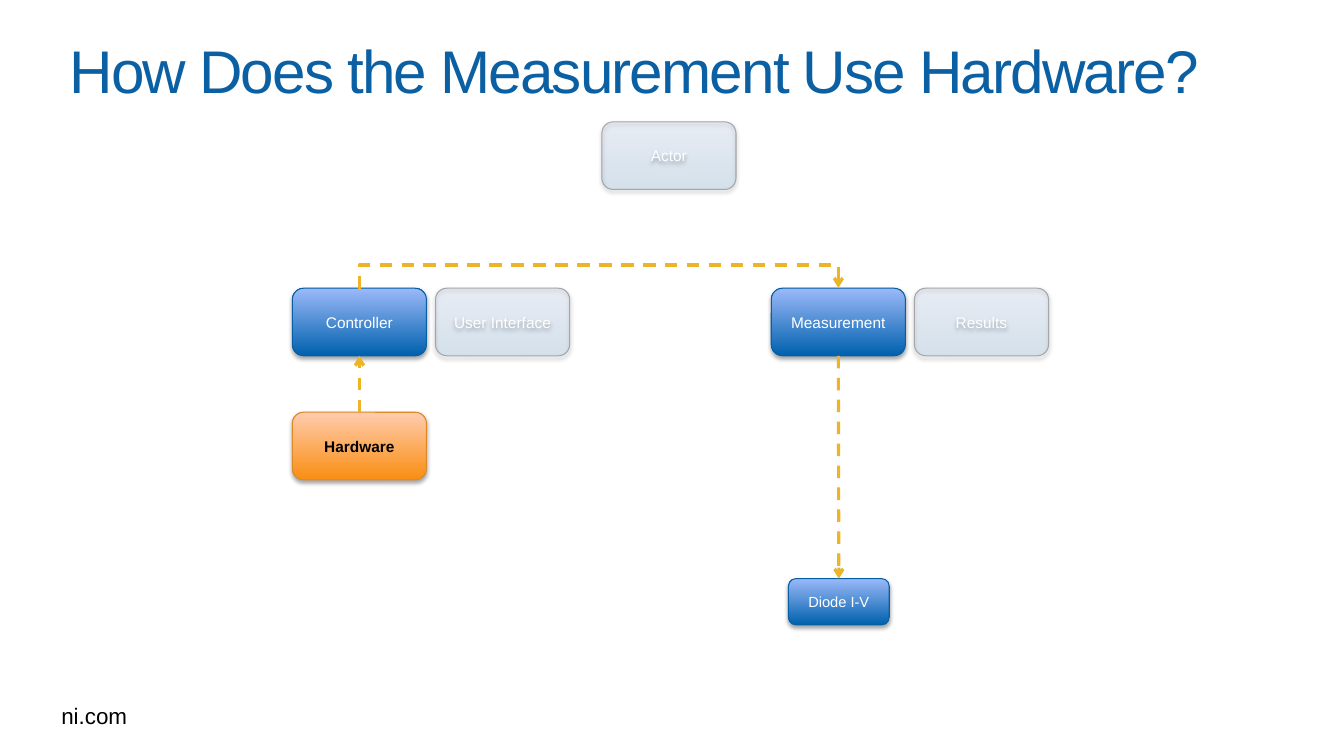
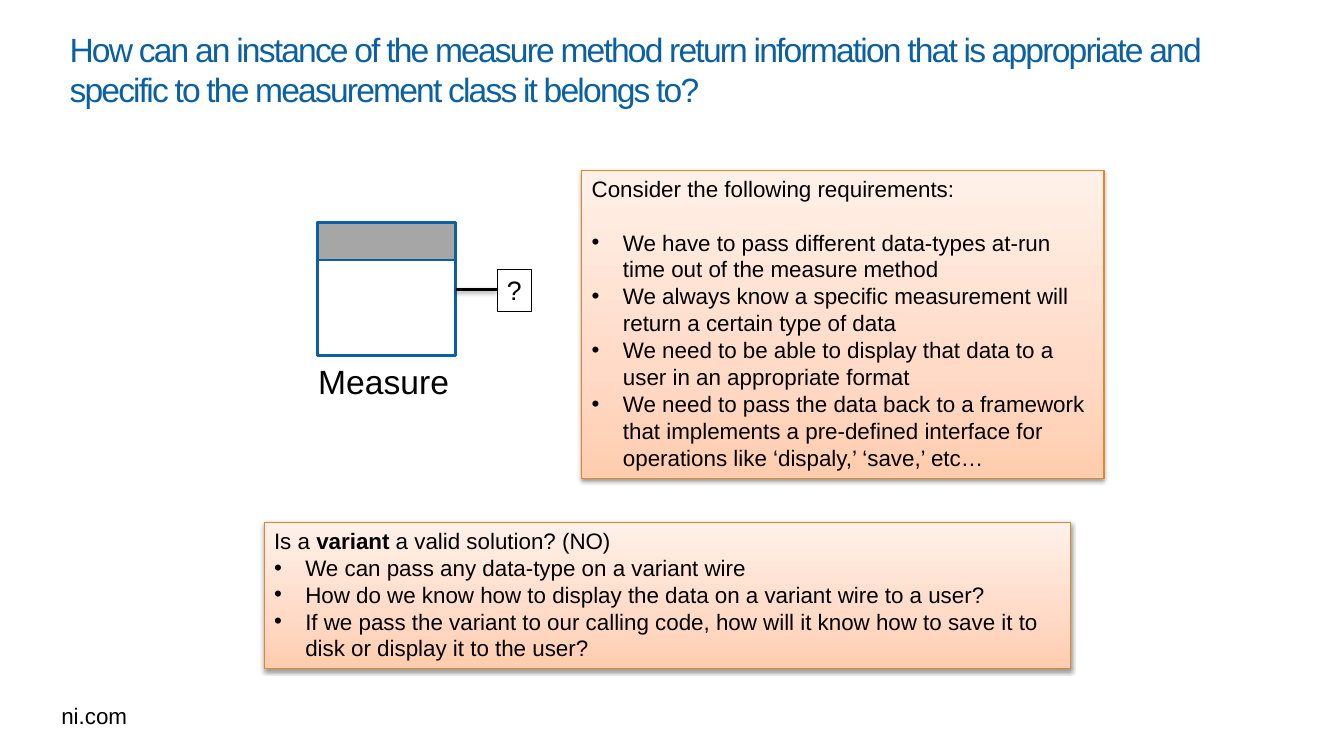
from lxml import etree
from pptx import Presentation
from pptx.dml.color import RGBColor
from pptx.enum.dml import MSO_LINE
from pptx.enum.shapes import MSO_CONNECTOR, MSO_SHAPE
from pptx.enum.text import MSO_ANCHOR, MSO_AUTO_SIZE, PP_ALIGN
from pptx.oxml.ns import qn
from pptx.util import Emu, Inches, Pt

DASH = MSO_LINE.DASH
STRAIGHT, ELBOW = MSO_CONNECTOR.STRAIGHT, MSO_CONNECTOR.ELBOW
RECTANGLE, ROUNDED = MSO_SHAPE.RECTANGLE, MSO_SHAPE.ROUNDED_RECTANGLE
TOP, MIDDLE = MSO_ANCHOR.TOP, MSO_ANCHOR.MIDDLE
GROW = MSO_AUTO_SIZE.SHAPE_TO_FIT_TEXT
LEFT, CENTER = PP_ALIGN.LEFT, PP_ALIGN.CENTER

THEME = {
    "font": "Arial",
    "title": "0A60A3", "black": "000000", "white": "FFFFFF", "grey": "A6A6A6",
    "arrow": "ECB528",
    "title_sizes": (43, 24), "body": 16, "label": 11, "small_label": 10.5,
    "caption": 24, "question": 19,
    "title_spacing": -130,
    # Shadows: opacity %, blur pt, distance pt
    "box_shadow": (35, 3.1, 1.8), "panel_shadow": (38, 3.1, 1.6),
}
# Gradients: position %, colour, opacity %, from bottom to top
BOX_STYLES = {
    "active": {"fill": [(0, "0061AD", 100), (100, "9BB9F9", 100)], "line": "065EA3"},
    "faded": {"fill": [(0, "0061AD", 13), (100, "9BB9F9", 13)], "line": "A6A6A6"},
    "accent": {"fill": [(0, "F98E12", 100), (100, "FFCCAE", 100)], "line": "DD8928"},
}
PANEL_STYLE = {
    "fill": [(0, "FFCCAE", 100), (35, "FFDAC6", 100), (100, "FFF1E9", 100)],
    "line": "DD8928", "shadow": THEME["panel_shadow"],
}


def style_shape(shape, line, width=0.75, fill=None, shadow=None):
    """Set outline, fill (colour or gradient stops) and shadow of a shape or connector."""
    properties = shape._element.spPr
    shape.line.color.rgb = RGBColor.from_string(line)
    shape.line.width = Pt(width)
    if isinstance(fill, str):
        shape.fill.solid()
        shape.fill.fore_color.rgb = RGBColor.from_string(fill)
    elif fill:
        shape.fill.gradient()
        shape.fill.gradient_angle = 90
        stops = properties.find(".//" + qn("a:gsLst"))
        for stop in list(stops):
            stops.remove(stop)
        for position, color, opacity in fill:
            stop = etree.SubElement(stops, qn("a:gs"), pos=str(position * 1000))
            color_element = etree.SubElement(stop, qn("a:srgbClr"), val=color)
            if opacity < 100:
                etree.SubElement(color_element, qn("a:alpha"), val=str(opacity * 1000))
    elif hasattr(shape, "fill"):
        shape.fill.background()
    effects = etree.SubElement(properties, qn("a:effectLst"))
    if shadow:
        opacity, blur, distance = shadow
        outer = etree.SubElement(effects, qn("a:outerShdw"), blurRad=str(Pt(blur)),
                                 dist=str(Pt(distance)), dir="5400000", rotWithShape="0")
        color_element = etree.SubElement(outer, qn("a:srgbClr"), val=THEME["black"])
        etree.SubElement(color_element, qn("a:alpha"), val=str(opacity * 1000))


def write_text(shape, paragraphs, size, color=THEME["black"], bold=False, align=LEFT,
               spacing=None, bullets=False, **frame_format):
    """Write paragraphs, each a list of (text, bold) runs or a plain string."""
    frame = shape.text_frame
    for name, value in {"word_wrap": True, "vertical_anchor": TOP, **frame_format}.items():
        setattr(frame, name, value)
    for index, content in enumerate(paragraphs):
        paragraph = frame.paragraphs[0] if index == 0 else frame.add_paragraph()
        paragraph.alignment = align
        if bullets and index:
            paragraph_properties = paragraph._p.get_or_add_pPr()
            paragraph_properties.set("marL", str(Inches(0.31)))
            paragraph_properties.set("indent", str(-Inches(0.31)))
            etree.SubElement(paragraph_properties, qn("a:buFont"), typeface=THEME["font"])
            etree.SubElement(paragraph_properties, qn("a:buChar"), char="•")
        runs = [(content, bold)] if isinstance(content, str) else content
        for text, run_bold in runs:
            run = paragraph.add_run()
            run.text = text
            for name, value in {"name": THEME["font"], "size": Pt(size), "bold": run_bold}.items():
                setattr(run.font, name, value)
            run.font.color.rgb = RGBColor.from_string(color)
            if spacing:
                run._r.get_or_add_rPr().set("spc", str(spacing))


presentation = Presentation()
presentation.slide_width, presentation.slide_height = Inches(13.33), Inches(7.5)
blank_layout = presentation.slide_layouts[6]

# Titles and footers shared by both slides
titles = [
    "How Does the Measurement Use Hardware?",
    "How can an instance of the measure method return information that is appropriate "
    "and specific to the measurement class it belongs to?",
]
slides = []
for title, title_size in zip(titles, THEME["title_sizes"]):
    slide = presentation.slides.add_slide(blank_layout)
    footer = slide.shapes.add_textbox(Inches(0.51), Inches(6.92), Inches(0.86), Inches(0.37))
    write_text(footer, ["ni.com"], THEME["body"], word_wrap=False, auto_size=GROW)
    title_box = slide.shapes.add_textbox(Inches(0.69), Inches(0.16), Inches(11.97), Inches(1.05))
    write_text(title_box, [title], title_size, THEME["title"], spacing=THEME["title_spacing"],
               vertical_anchor=MIDDLE, margin_left=0)
    slides.append(slide)
hardware_slide, requirements_slide = slides

# Slide 1: class boxes
BOX_SIZE, SMALL_BOX_SIZE = (1.33, 0.67), (1, 0.46)
class_boxes = [
    ("Controller", 2.9, 2.86, BOX_SIZE, "active"),
    ("Measurement", 7.65, 2.86, BOX_SIZE, "active"),
    ("Diode I-V", 7.82, 5.74, SMALL_BOX_SIZE, "active"),
    ("Hardware", 2.9, 4.09, BOX_SIZE, "accent"),
    ("User Interface", 4.32, 2.86, BOX_SIZE, "faded"),
    ("Actor", 5.97, 1.21, BOX_SIZE, "faded"),
    ("Results", 9.07, 2.86, BOX_SIZE, "faded"),
]
boxes = {}
for name, left, top, size, style in class_boxes:
    box = hardware_slide.shapes.add_shape(ROUNDED, Inches(left), Inches(top), *map(Inches, size))
    style_shape(box, shadow=THEME["box_shadow"], **BOX_STYLES[style])
    accent = style == "accent"
    write_text(box, [name], THEME["label"] if size == BOX_SIZE else THEME["small_label"],
               THEME["black"] if accent else THEME["white"], bold=accent, align=CENTER,
               vertical_anchor=MIDDLE)
    boxes[name] = box

# Slide 1: dashed arrows, glued to connection sites
TOP_SITE, BOTTOM_SITE = 0, 2
arrows = [
    (STRAIGHT, "Measurement", BOTTOM_SITE, "Diode I-V", TOP_SITE),
    (ELBOW, "Controller", TOP_SITE, "Measurement", TOP_SITE),
    (STRAIGHT, "Hardware", TOP_SITE, "Controller", BOTTOM_SITE),
]
for kind, source, source_site, target, target_site in arrows:
    arrow = hardware_slide.shapes.add_connector(kind, 0, 0, 0, 0)
    arrow.begin_connect(boxes[source], source_site)
    arrow.end_connect(boxes[target], target_site)
    style_shape(arrow, THEME["arrow"], 2.25)
    arrow.line.dash_style = DASH
    etree.SubElement(arrow.line._get_or_add_ln(), qn("a:tailEnd"), type="arrow")
    if kind == ELBOW:
        # A quarter turn makes the elbow leave and arrive vertically
        span, depth = arrow.width, Inches(0.01)
        center = arrow.left + span // 2
        arrow.left, arrow.top = Emu(center - depth // 2), Emu(arrow.top - span // 2)
        arrow.width, arrow.height = depth, span
        properties = arrow._element.spPr
        for name, value in {"rot": "5400000", "flipH": "1", "flipV": "1"}.items():
            properties.find(qn("a:xfrm")).set(name, value)
        adjustments = properties.find(".//" + qn("a:avLst"))
        etree.SubElement(adjustments, qn("a:gd"), name="adj1", fmla="val 2400000")

# Slide 2: method icon
icon = requirements_slide.shapes.add_group_shape()
for height, fill in ((1.32, THEME["white"]), (0.37, THEME["grey"])):
    part = icon.shapes.add_shape(RECTANGLE, Inches(3.15), Inches(2.21), Inches(1.37), Inches(height))
    style_shape(part, THEME["title"], 2, fill)
caption = icon.shapes.add_textbox(Inches(3.04), Inches(3.53), Inches(1.53), Inches(0.5))
write_text(caption, ["Measure"], THEME["caption"], align=CENTER, word_wrap=False, auto_size=GROW)

# Slide 2: text panels
requirements = [
    "Consider the following requirements:",
    "We have to pass different data-types at-run time out of the measure method",
    "We always know a specific measurement will return a certain type of data",
    "We need to be able to display that data to a user in an appropriate format",
    "We need to pass the data back to a framework that implements a pre-defined interface "
    "for operations like ‘dispaly,’ ‘save,’ etc…",
]
variant_answer = [
    [("Is a ", False), ("variant", True), (" a valid solution? (NO)", False)],
    "We can pass any data-type on a variant wire",
    "How do we know how to display the data on a variant wire to a user?",
    "If we pass the variant to our calling code, how will it know how to save it to disk "
    "or display it to the user?",
]
panels = [
    (requirements, (5.77, 1.69, 5.18, 3.06), 19),
    (variant_answer, (2.62, 5.18, 8, 1.45), 0),
]
for paragraphs, place, heading_gap in panels:
    panel = requirements_slide.shapes.add_shape(RECTANGLE, *map(Inches, place))
    style_shape(panel, **PANEL_STYLE)
    write_text(panel, paragraphs, THEME["body"], bullets=True, auto_size=GROW)
    panel.text_frame.paragraphs[0].space_after = Pt(heading_gap)

# Slide 2: unknown output
wire = requirements_slide.shapes.add_connector(
    STRAIGHT, Inches(4.52), Inches(2.87), Inches(4.93), Inches(2.87))
style_shape(wire, THEME["black"], 2, shadow=THEME["panel_shadow"])
question = requirements_slide.shapes.add_shape(
    RECTANGLE, Inches(4.93), Inches(2.67), Inches(0.34), Inches(0.42))
style_shape(question, THEME["black"])
write_text(question, ["?"], THEME["question"], word_wrap=False, auto_size=GROW)

presentation.save("out.pptx")
